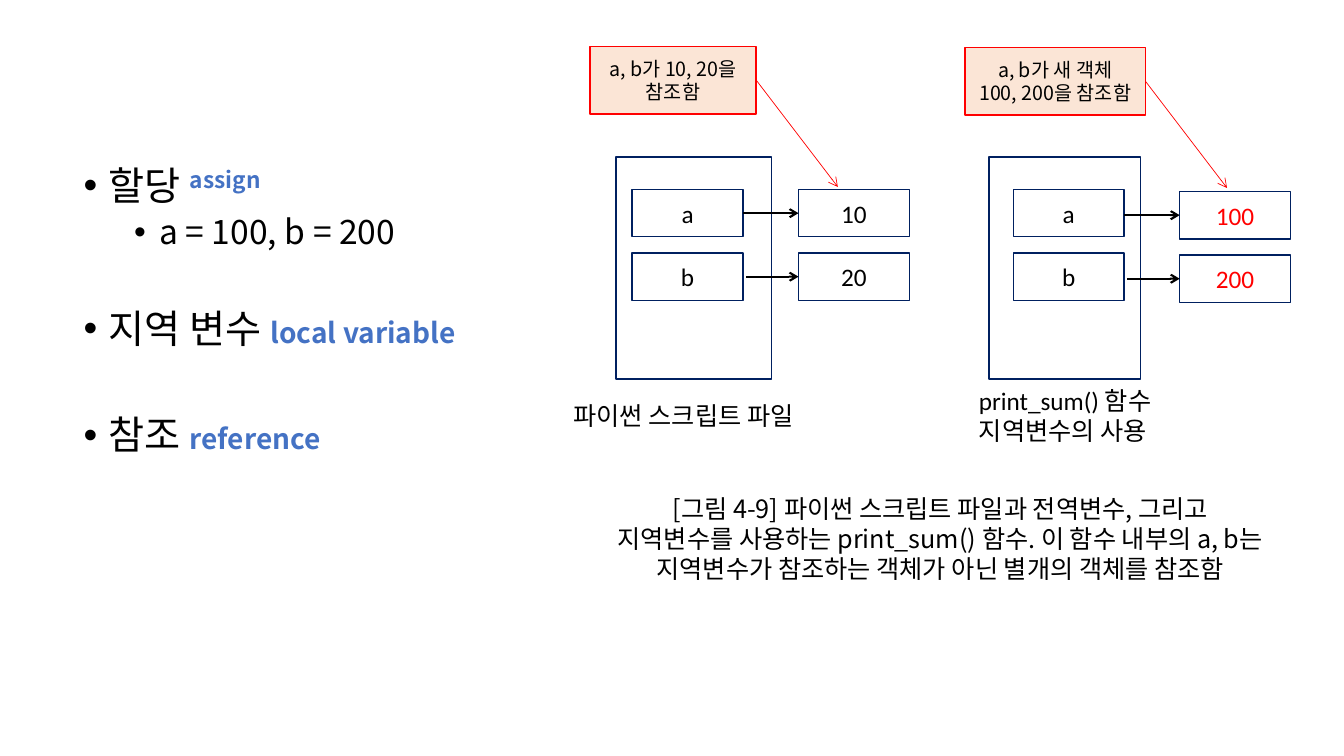
from lxml import etree
from pptx import Presentation
from pptx.dml.color import RGBColor
from pptx.enum.shapes import MSO_CONNECTOR as CONN, MSO_SHAPE as SHAPE
from pptx.enum.text import MSO_ANCHOR as ANCHOR, PP_ALIGN as ALIGN
from pptx.oxml.ns import qn
from pptx.util import Inches, Pt

COLORS = {"black": "000000", "navy": "002060", "red": "FF0000",
          "blue": "4472C4", "peach": "FBE5D6"}
KOREAN, LATIN = "Noto Sans CJK KR", "Calibri"
CELL_W, CELL_H, CELL_STEP, VALUE_DX = 1.1, 0.47, 0.63, 1.65


def rgb(name):
    return RGBColor.from_string(COLORS[name])


def style_run(r, size, color="black", font=KOREAN, bold=False):
    r.font.size, r.font.bold, r.font.name = Pt(size), bold, font
    r.font.color.rgb = rgb(color)
    ea = etree.Element(qn("a:ea"), typeface=KOREAN)
    r.font._element.find(qn("a:latin")).addnext(ea)


def fill_text(tf, text, size, color="black", font=KOREAN, align=ALIGN.CENTER):
    tf.word_wrap = True
    tf.text = text
    for p in tf.paragraphs:
        p.alignment = align
        for r in p.runs:
            style_run(r, size, color, font)


def add_box(s, x, y, w, h, line="navy", fill=None):
    sp = s.shapes.add_shape(SHAPE.RECTANGLE, Inches(x), Inches(y), Inches(w), Inches(h))
    sp.shadow.inherit = False
    sp.line.color.rgb, sp.line.width = rgb(line), Pt(1)
    if fill:
        sp.fill.solid()
        sp.fill.fore_color.rgb = rgb(fill)
    else:
        sp.fill.background()
    sp.text_frame.vertical_anchor = ANCHOR.MIDDLE
    return sp


def add_cell(s, x, y, text, color="black"):
    sp = add_box(s, x, y, CELL_W, CELL_H)
    fill_text(sp.text_frame, text, 18, color, LATIN)


def add_label(s, x, y, w, h, text, font, align):
    tb = s.shapes.add_textbox(Inches(x), Inches(y), Inches(w), Inches(h))
    fill_text(tb.text_frame, text, 18, font=font, align=align)


def add_arrow(s, x1, y1, x2, y2, color, width):
    c = s.shapes.add_connector(CONN.STRAIGHT, Inches(x1), Inches(y1), Inches(x2), Inches(y2))
    c.line.color.rgb, c.line.width = rgb(color), Pt(width)
    etree.SubElement(c.line._get_or_add_ln(), qn("a:tailEnd"), type="arrow")
    etree.SubElement(c._element.spPr, qn("a:effectLst"))


def add_terms(s, x, y, w, h):
    body = s.placeholders[1]
    body.left, body.top, body.width, body.height = map(Inches, (x, y, w, h))
    terms = [
        (0, 10, [("할당 ", 28, "black"), ("assign", 28, "blue")]),
        (1, 5, [("a = 100, b = 200", 24, "black")]),
        (0, 41, [("지역 변수 ", 28, "black"), ("local variable", 20, "blue")]),
        (0, 46, [("참조 ", 28, "black"), ("reference", 20, "blue")]),
    ]
    tf = body.text_frame
    for i, (level, before, parts) in enumerate(terms):
        p = tf.add_paragraph() if i else tf.paragraphs[0]
        p.level, p.line_spacing, p.space_before = level, 0.9, Pt(before)
        pPr = p._p.get_or_add_pPr()
        pPr.set("marL", str(Inches(0.25 + 0.5 * level)))
        pPr.set("indent", str(Inches(-0.25)))
        etree.SubElement(pPr, qn("a:buFont"), typeface="Arial")
        etree.SubElement(pPr, qn("a:buChar"), char="•")
        for text, size, color in parts:
            r = p.add_run()
            r.text = text
            style_run(r, size, color, bold=color == "blue")
            if text == "assign":
                r.font._element.set("baseline", "30000")


def add_scope(s, x, y, w, h, cell_dx, value_dy, values, color):
    add_box(s, x, y, w, h)
    cell_x, value_x = x + cell_dx, x + cell_dx + VALUE_DX
    for i, (name, value) in enumerate(zip("ab", values)):
        cell_y = y + 0.32 + i * CELL_STEP
        value_y = cell_y + value_dy
        add_cell(s, cell_x, cell_y, name)
        add_cell(s, value_x, value_y, value, color)
        arrow_y = value_y + CELL_H / 2
        add_arrow(s, cell_x + CELL_W + 0.03 * i, arrow_y, value_x, arrow_y, "black", 1.5)


def add_callout(s, x, y, w, h, text):
    sp = add_box(s, x, y, w, h, "red", "peach")
    fill_text(sp.text_frame, text, 14)
    right, mid = x + w, y + h / 2
    add_arrow(s, right, mid, right + 0.81, mid + 1.06, "red", 0.5)


def main():
    prs = Presentation()
    prs.slide_width, prs.slide_height = Inches(13.33), Inches(7.5)
    s = prs.slides.add_slide(prs.slide_layouts[1])
    title = s.shapes.title._element
    title.getparent().remove(title)
    add_terms(s, 0.73, 1.6, 5.52, 4.09)
    add_label(s, 5.77, 4.84, 7.11, 1.01,
              "[그림 4-9] 파이썬 스크립트 파일과 전역변수, 그리고\v"
              "지역변수를 사용하는 print_sum() 함수. 이 함수 내부의 a, b는 "
              "지역변수가 참조하는 객체가 아닌 별개의 객체를 참조함", KOREAN, ALIGN.CENTER)
    add_scope(s, 6.11, 1.56, 1.54, 2.2, 0.16, 0, ("10", "20"), "black")
    add_label(s, 5.59, 3.92, 2.73, 0.4, "파이썬 스크립트 파일", LATIN, ALIGN.LEFT)
    add_scope(s, 9.81, 1.56, 1.5, 2.2, 0.24, 0.02, ("100", "200"), "red")
    add_label(s, 9.61, 3.77, 2.22, 0.71, "print_sum() 함수\n지역변수의 사용", LATIN, ALIGN.LEFT)
    add_callout(s, 5.85, 0.46, 1.65, 0.67, "a, b가 10, 20을\n참조함")
    add_callout(s, 9.57, 0.47, 1.79, 0.67, "a, b가 새 객체\v100, 200을 참조함")
    prs.save("out.pptx")


if __name__ == "__main__":
    main()
